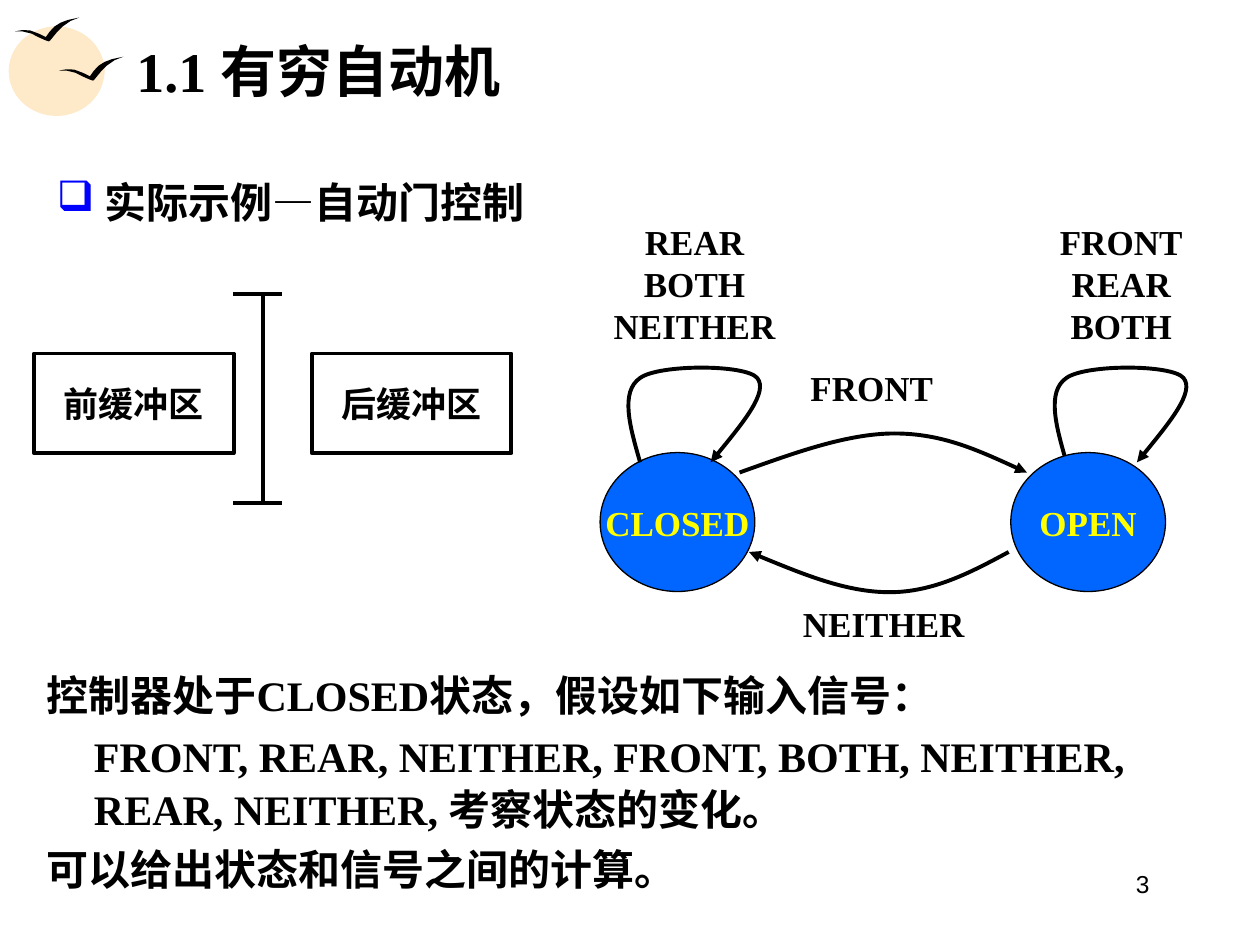
from dataclasses import dataclass

from lxml import etree
from pptx import Presentation
from pptx import util as u
from pptx.dml.color import RGBColor
from pptx.enum import shapes, text
from pptx.oxml import ns

Pt = u.Pt
BLACK = RGBColor(0, 0, 0)
BLUE = RGBColor(0x00, 0x66, 0xFF)
YELLOW = RGBColor(0xFF, 0xFF, 0x00)
CREAM = RGBColor(0xFE, 0xE9, 0xC8)
MARK = RGBColor(0x00, 0x00, 0xFF)
SERIF, SANS = "Times New Roman", "Arial"
LEFT, MID, RIGHT = text.PP_ALIGN.LEFT, text.PP_ALIGN.CENTER, text.PP_ALIGN.RIGHT
RECT, OVAL = shapes.MSO_SHAPE.RECTANGLE, shapes.MSO_SHAPE.OVAL
STROKE = 2.25
Point = tuple[float, float]


@dataclass
class Box:
    left: float
    top: float
    width: float
    height: float


@dataclass
class Style:
    size: float = 20
    font: str = SERIF
    color: RGBColor = BLACK
    bold: bool = True
    align: text.PP_ALIGN = MID
    wrap: bool = False
    middle: bool = False


@dataclass
class Label:
    words: str
    box: Box
    style: Style


@dataclass
class Curve:
    points: list[Point]
    end: str = "tailEnd"


WING = [
    (0, 7.9), (4.3, 7.2), (8.6, 7.4), (13.5, 9.2), (17.6, 11.2),
    (19.7, 8.2), (22.5, 5.2), (26, 3), (30.2, 1.4), (36.7, 0),
    (31.7, 2), (27.4, 5), (23.8, 8.6), (20.2, 13), (19.4, 13.7),
    (17.3, 13), (13.7, 11.4), (9.4, 9.2), (4.5, 8),
]
LOOP = [
    (365.8, 264.2), (360, 244.1), (354.2, 223.9), (365.8, 216),
    (376.6, 208.1), (426.2, 208.1), (432.7, 216),
    (439.2, 223.9), (422.6, 244.1), (406.1, 264.2),
]
STEP = 243.6
ARCS = [
    Curve([(422.6, 270), (452.9, 259.2), (483.8, 247.7), (511.2, 247.7),
           (538.6, 247.7), (563, 259.2), (586.8, 270)]),
    Curve([(428, 315.4), (455.8, 326.9), (483.8, 338.4), (508.3, 338.4),
           (533.5, 338.4), (555.1, 326.9), (576.4, 315.4)], "headEnd"),
]
LINES = [
    ((150.5, 167.8), (150.5, 287.3)),
    ((133.2, 287.3), (161.3, 287.3)),
    ((133.2, 167.8), (161.3, 167.8)),
]
NOTE = Style()
TITLE = Style(size=32, align=LEFT, wrap=True, middle=True)
BODY = Style(size=24, align=LEFT, wrap=True)
PAGE = Style(size=14, font=SANS, bold=False, align=RIGHT, wrap=True)
ZONE = Style(font=SANS, middle=True)
STATE = Style(color=YELLOW, middle=True)

LABELS = [
    Label("3", Box(496.1, 493.2, 167.8, 37.4), PAGE),
    Label("1.1 有穷自动机", Box(70.8, 15.1, 614.2, 49.7), TITLE),
    Label("FRONT", Box(448.2, 205.9, 100, 31.7), NOTE),
    Label("NEITHER", Box(445, 340.6, 120, 31.7), NOTE),
    Label("FRONT\nREAR\nBOTH", Box(590.7, 122.7, 100, 79.2), NOTE),
    Label("REAR\nBOTH\nNEITHER", Box(336.9, 122.7, 120, 79.2), NOTE),
]
TOPIC = Label("实际示例—自动门控制", Box(25.4, 94.3, 658.8, 51.1), BODY)
TASK = Label(
    "控制器处于CLOSED状态，假设如下输入信号：\n"
    "FRONT, REAR, NEITHER, FRONT, BOTH, NEITHER, REAR, NEITHER, 考察状态的变化。\n"
    "可以给出状态和信号之间的计算。",
    Box(19.6, 377.6, 694.8, 147.6), BODY)
ZONES = [Label(words, Box(left, 202, 114, 57), ZONE)
         for words, left in (("前缓冲区", 19.5), ("后缓冲区", 178.3))]
CLOSED, OPEN = [Label(words, Box(left, 258.6, 88.4, 79.4), STATE)
                for words, left in (("CLOSED", 342.9), ("OPEN", 577.6))]


def place(box: Box) -> list[int]:
    return [Pt(v) for v in (box.left, box.top, box.width, box.height)]


def write(shape, words: str, style: Style) -> None:
    frame = shape.text_frame
    frame.text = words
    frame.word_wrap = style.wrap
    anchor = text.MSO_ANCHOR
    frame.vertical_anchor = anchor.MIDDLE if style.middle else anchor.TOP
    for para in frame.paragraphs:
        para.alignment = style.align
        for run in para.runs:
            font = run.font
            font.size, font.name, font.bold = Pt(style.size), style.font, style.bold
            font.color.rgb = style.color


def label(slide, item: Label):
    shape = slide.shapes.add_textbox(*place(item.box))
    write(shape, item.words, item.style)
    return shape


def paint(shape, fill: RGBColor | None, width: float) -> None:
    shape.shadow.inherit = False
    if fill is None:
        shape.fill.background()
    else:
        shape.fill.solid()
        shape.fill.fore_color.rgb = fill
    if width:
        shape.line.color.rgb = BLACK
        shape.line.width = Pt(width)
    else:
        shape.line.fill.background()


def node(slide, kind, item: Label, fill: RGBColor | None, width: float) -> None:
    shape = slide.shapes.add_shape(kind, *place(item.box))
    paint(shape, fill, width)
    write(shape, item.words, item.style)


def trace(slide, points: list[Point], close: bool):
    dots = [(Pt(x), Pt(y)) for x, y in points]
    form = slide.shapes.build_freeform(*dots[0], scale=1.0)
    form.add_line_segments(dots[1:], close=close)
    return form.convert_to_shape()


def arrow(slide, curve: Curve) -> None:
    shape = trace(slide, curve.points, False)
    paint(shape, None, STROKE)
    legs = list(shape.element.iter(ns.qn("a:lnTo")))
    for i in range(0, len(legs), 3):
        bend = etree.Element(ns.qn("a:cubicBezTo"))
        legs[i].addprevious(bend)
        for leg in legs[i:i + 3]:
            bend.append(leg[0])
            leg.getparent().remove(leg)
    stroke = shape.element.spPr.find(ns.qn("a:ln"))
    etree.SubElement(stroke, ns.qn("a:" + curve.end), type="triangle")


def rule(slide, start: Point, end: Point) -> None:
    ends = [Pt(v) for v in start + end]
    line = slide.shapes.add_connector(shapes.MSO_CONNECTOR.STRAIGHT, *ends)
    line.line.color.rgb = BLACK
    line.line.width = Pt(STROKE)
    etree.SubElement(line.element.spPr, ns.qn("a:effectLst"))


def indent(para, first: float, space: float) -> None:
    props = para._p.get_or_add_pPr()
    props.set("marL", str(Pt(27)))
    props.set("indent", str(Pt(first)))
    para.line_spacing = space


def bullet(para, mark: str, color: RGBColor) -> None:
    props = para._p.get_or_add_pPr()
    tint = etree.SubElement(props, ns.qn("a:buClr"))
    etree.SubElement(tint, ns.qn("a:srgbClr"), val=str(color))
    etree.SubElement(props, ns.qn("a:buChar"), char=mark)


def main() -> None:
    deck = Presentation()
    deck.slide_width, deck.slide_height = Pt(720), Pt(540)
    slide = deck.slides.add_slide(deck.slide_layouts[6])

    for box in (Box(5, 15.1, 54.7, 51.1), Box(14.4, 20.2, 45.4, 39.6)):
        paint(slide.shapes.add_shape(OVAL, *place(box)), CREAM, 0)
    for left, top in ((33.8, 32.4), (8.6, 10)):
        bird = trace(slide, [(left + x, top + y) for x, y in WING], True)
        paint(bird, BLACK, 0)

    for zone in ZONES:
        node(slide, RECT, zone, None, STROKE)
    for start, end in LINES:
        rule(slide, start, end)

    node(slide, OVAL, CLOSED, BLUE, 0.75)
    for curve in ARCS:
        arrow(slide, curve)
    arrow(slide, Curve([(x + STEP, y) for x, y in LOOP]))
    node(slide, OVAL, OPEN, BLUE, 0.75)
    arrow(slide, Curve(LOOP))

    for item in LABELS:
        label(slide, item)
    topic = label(slide, TOPIC).text_frame.paragraphs[0]
    indent(topic, -27, 1.1)
    bullet(topic, "❑", MARK)
    paras = label(slide, TASK).text_frame.paragraphs
    for para, first in zip(paras, (-27, 0, -27)):
        indent(para, first, 1.05)
    for para in paras[1:]:
        para.space_before = Pt(4.5)

    deck.save("out.pptx")


if __name__ == "__main__":
    main()
